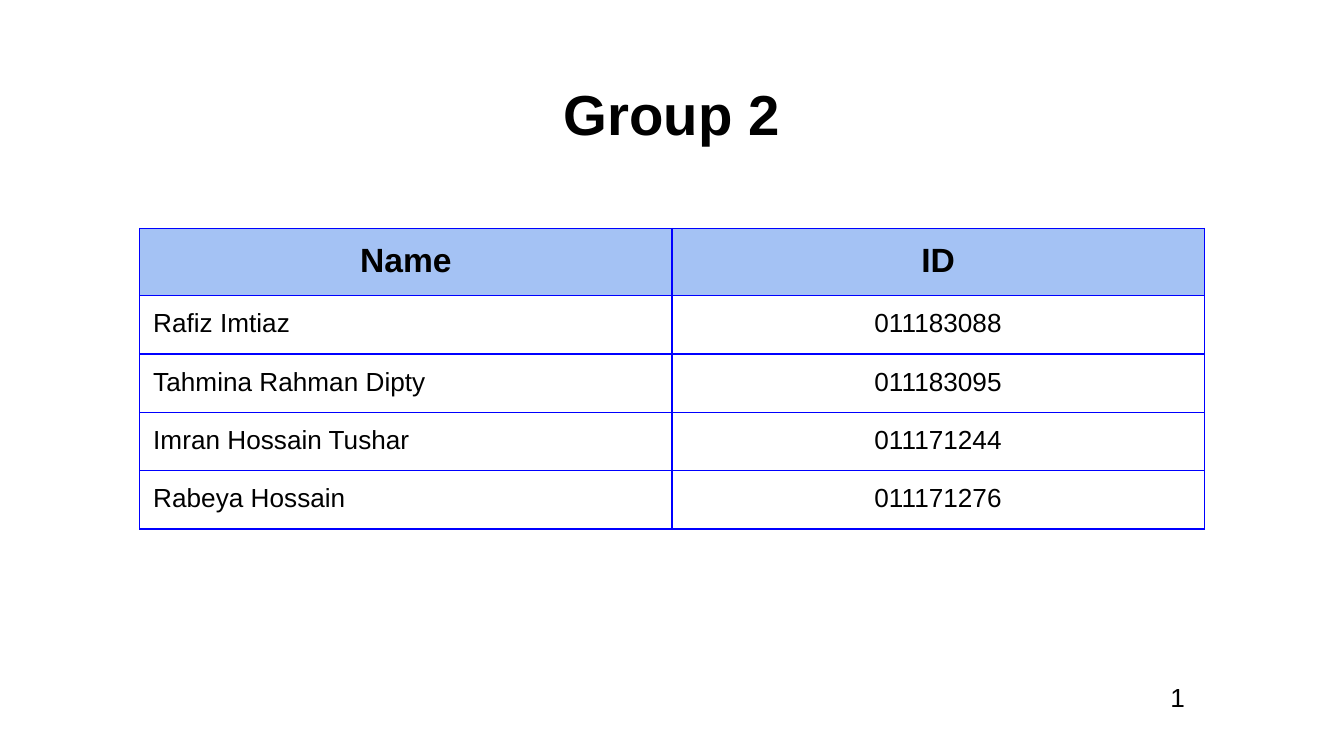
from lxml import etree
from pptx import Presentation
from pptx.dml.color import RGBColor
from pptx.enum.text import MSO_ANCHOR, PP_ALIGN
from pptx.oxml.ns import qn
from pptx.util import Inches, Pt

# Content
TITLE = "Group 2"
HEADER = ("Name", "ID")
MEMBERS = [
    ("Rafiz Imtiaz", "011183088"),
    ("Tahmina Rahman Dipty", "011183095"),
    ("Imran Hossain Tushar", "011171244"),
    ("Rabeya Hossain", "011171276"),
]
PAGE = "1"

BLACK = RGBColor(0x00, 0x00, 0x00)
HEADER_BLUE = RGBColor(0xA4, 0xC2, 0xF4)
BORDER_BLUE = RGBColor(0x00, 0x00, 0xFF)
FONT = "Arial"
INSET = Inches(0.1)
LEFT, CENTER = PP_ALIGN.LEFT, PP_ALIGN.CENTER
COL_W, HEADER_H, ROW_H, FRAME = 3.96, 0.46, 0.4, 3.28


def write(tf, text, size, align, bold=False):
    tf.text = text
    p = tf.paragraphs[0]
    p.alignment = align
    font = p.runs[0].font
    font.name, font.size, font.bold = FONT, Pt(size), bold
    font.color.rgb = BLACK


def add_text(slide, box, text, size, align, bold=False):
    tf = slide.shapes.add_textbox(*map(Inches, box)).text_frame
    tf.word_wrap = True
    tf.vertical_anchor = MSO_ANCHOR.TOP
    tf.margin_left = tf.margin_right = INSET
    tf.margin_top = tf.margin_bottom = INSET
    write(tf, text, size, align, bold)


def set_borders(cell):
    tc_pr = cell._tc.get_or_add_tcPr()
    for i, side in enumerate(("lnL", "lnR", "lnT", "lnB")):
        ln = etree.Element(qn(f"a:{side}"), w=str(Pt(0.75)))
        fill = etree.SubElement(ln, qn("a:solidFill"))
        etree.SubElement(fill, qn("a:srgbClr"), val=str(BORDER_BLUE))
        tc_pr.insert(i, ln)


# Slide in 16:9
prs = Presentation()
prs.slide_width = Inches(10)
prs.slide_height = prs.slide_width * 9 // 16
slide = prs.slides.add_slide(prs.slide_layouts[6])

# Title
add_text(slide, (0.34, 0.49, 9.32, 0.63), TITLE, 30.2, CENTER, True)

# Member table
rows = [HEADER] + MEMBERS
frame = slide.shapes.add_table(
    len(rows), len(HEADER), Inches(1.04), Inches(1.7),
    Inches(FRAME), Inches(FRAME))
table = frame.table
table.horz_banding = False
for col in table.columns:
    col.width = Inches(COL_W)
for r, row in enumerate(rows):
    is_header = r == 0
    table.rows[r].height = Inches(HEADER_H if is_header else ROW_H)
    for c, text in enumerate(row):
        cell = table.cell(r, c)
        cell.margin_left = cell.margin_right = INSET
        cell.margin_top = cell.margin_bottom = INSET
        if is_header:
            cell.fill.solid()
            cell.fill.fore_color.rgb = HEADER_BLUE
        else:
            cell.fill.background()
        set_borders(cell)
        write(cell.text_frame, text, 18 if is_header else 14,
              CENTER if is_header or c else LEFT, is_header)
frame.width = frame.height = Inches(FRAME)

# Page number
add_text(slide, (8.61, 4.97, 1.05, 0.44), PAGE, 14, LEFT)

prs.save("out.pptx")
